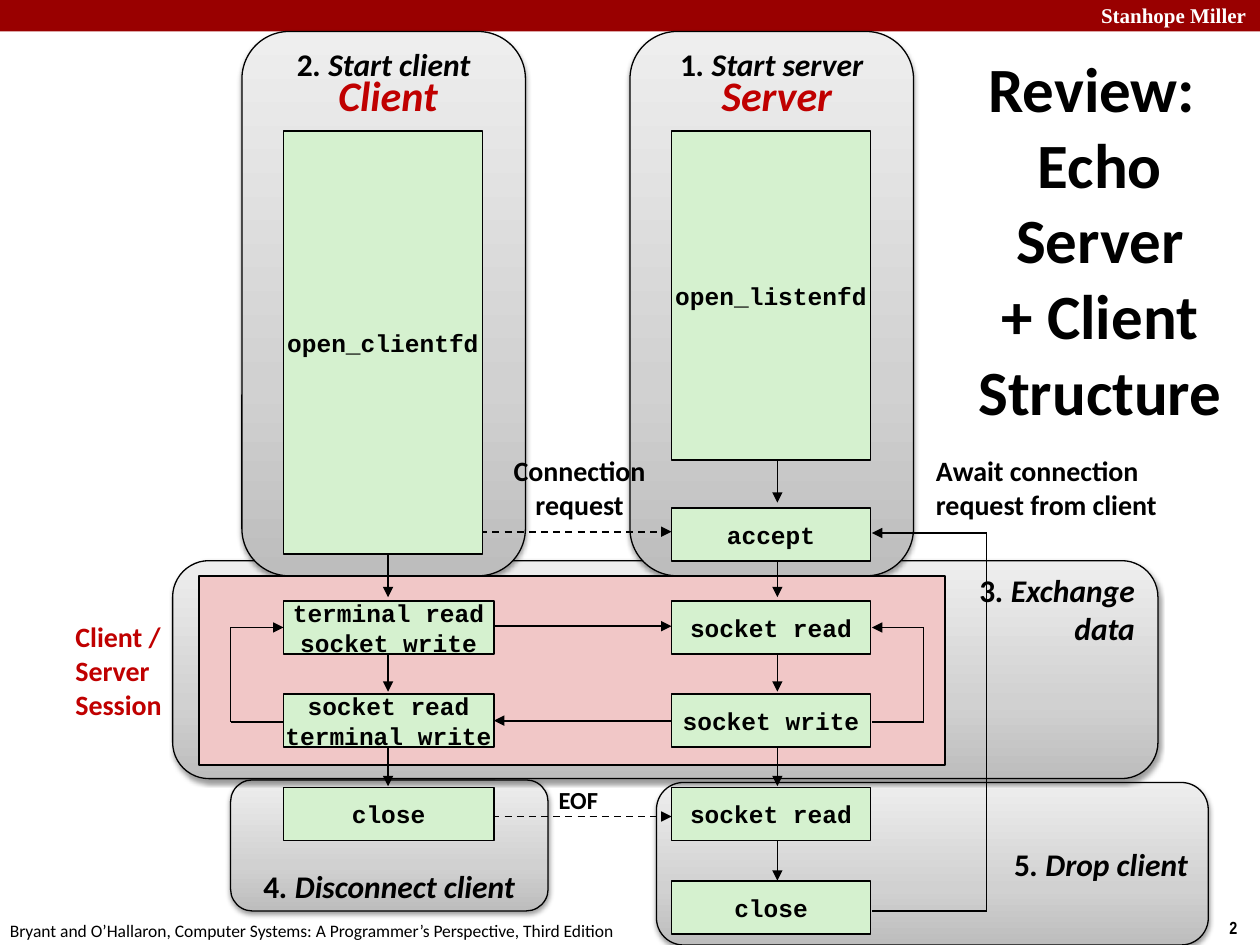
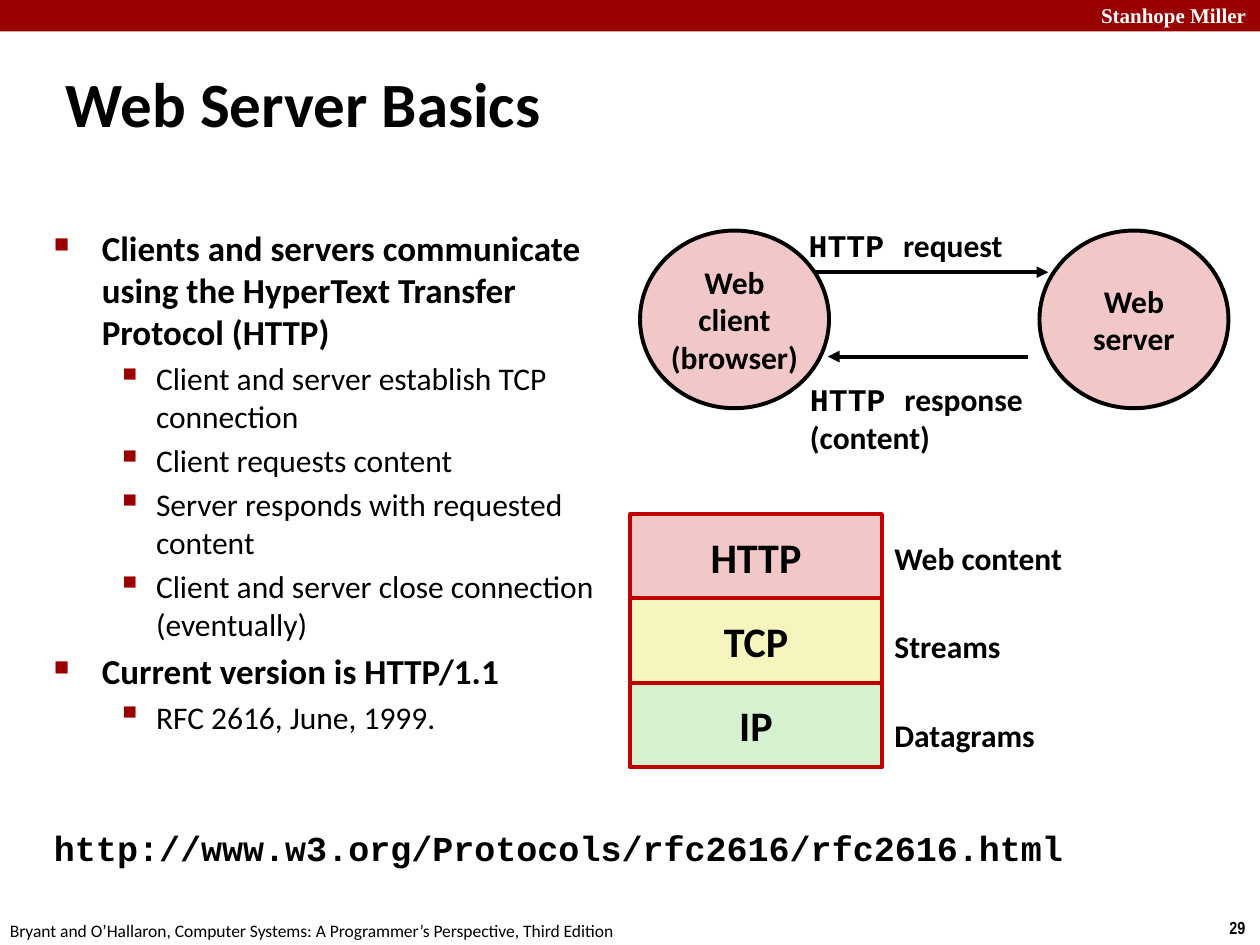
from pptx import Presentation
from pptx.dml.color import RGBColor
from pptx.enum.dml import MSO_LINE
from pptx.enum.shapes import MSO_CONNECTOR, MSO_SHAPE
from pptx.enum.text import MSO_ANCHOR, MSO_AUTO_SIZE, PP_ALIGN
from pptx.oxml import parse_xml
from pptx.oxml.ns import nsdecls, qn
from pptx.util import Cm, Pt

LEFT, CENTER, RIGHT = PP_ALIGN.LEFT, PP_ALIGN.CENTER, PP_ALIGN.RIGHT
TOP, MIDDLE, BOTTOM = MSO_ANCHOR.TOP, MSO_ANCHOR.MIDDLE, MSO_ANCHOR.BOTTOM
RECT, ROUNDED, OVAL = MSO_SHAPE.RECTANGLE, MSO_SHAPE.ROUNDED_RECTANGLE, MSO_SHAPE.OVAL
STRAIGHT, DASH = MSO_CONNECTOR.STRAIGHT, MSO_LINE.DASH

# Shared look
BLACK, WHITE, MAROON, RED = "000000", "FFFFFF", "990000", "C00000"
PINK, GREEN, YELLOW = "F1C7C7", "D5F1CF", "F6F5BD"
BODY_FONT, CODE_FONT = "Calibri", "Courier New"
PANEL_STOPS = ((0, "BDBDBD"), (35, "D1D1D1"), (100, "EEEEEE"))
INSETS = (0.1, 0.05, 0.1, 0.05)
FOOTER = ("Bryant and O’Hallaron, Computer Systems: "
          "A Programmer’s Perspective, Third Edition")
SCHOOL = "Stanhope Miller"

# Flow chart grid, in inches
CLIENT_X, SERVER_X = 2.25, 5.33
CLIENT_ARROW_X, SERVER_ARROW_X = 3.08, 6.17
BOX_WIDTH, WIDE_BOX, BOX_HEIGHT = 1.58, 1.67, 0.42
FIRST_ROW, ROW_STEP = 4.03, 0.74
FIRST_ARROW, ARROW_STEP, ARROW_LENGTH = 3.65, 0.75, 0.34


def inches(value):
    return Cm(value * 2.54)


def color(hex_value):
    return RGBColor.from_string(hex_value)


def style_run(run, size, font, hex_color, bold, italic):
    run.font.size = Pt(size)
    run.font.name = font
    run.font.color.rgb = color(hex_color)
    run.font.bold = bold
    run.font.italic = italic


def write(box, paras, size, font=BODY_FONT, hex_color=BLACK, bold=True,
          italic=False, align=LEFT, anchor=TOP, wrap=True, insets=INSETS):
    """Each paragraph is a string or a list of (text, style changes)."""
    frame = box.text_frame
    frame.auto_size = MSO_AUTO_SIZE.NONE
    frame.word_wrap = wrap
    frame.vertical_anchor = anchor
    (frame.margin_left, frame.margin_top,
     frame.margin_right, frame.margin_bottom) = map(inches, insets)
    base = dict(size=size, font=font, hex_color=hex_color, bold=bold, italic=italic)
    for index, spans in enumerate(paras):
        para = frame.add_paragraph() if index else frame.paragraphs[0]
        para.alignment = align
        if isinstance(spans, str):
            para.text = spans
            for run in para.runs:
                style_run(run, **base)
            continue
        for text, changes in spans:
            run = para.add_run()
            run.text = text
            style_run(run, **{**base, **changes})


def hang(para, left, first):
    properties = para._p.get_or_add_pPr()
    properties.set("marL", str(inches(left)))
    properties.set("indent", str(inches(first)))
    return properties


def add_text(page, place, paras, size, **style):
    box = page.shapes.add_textbox(*map(inches, place))
    write(box, paras, size, **style)
    return box


def add_block(page, kind, place, fill, line=None, width=1):
    shape = page.shapes.add_shape(kind, *map(inches, place))
    shape.shadow.inherit = False
    shape.fill.solid()
    shape.fill.fore_color.rgb = color(fill)
    if line:
        shape.line.color.rgb = color(line)
        shape.line.width = Pt(width)
    else:
        shape.line.fill.background()
    return shape


def add_panel(page, place, number, lines, align, anchor, insets):
    """Grey numbered stage with a gradient and a soft shadow."""
    panel = add_block(page, ROUNDED, place, WHITE, BLACK, 0.75)
    panel.fill.gradient()
    panel.fill.gradient_angle = 90
    stops = "".join(f'<a:gs pos="{pos * 1000}"><a:srgbClr val="{value}"/></a:gs>'
                    for pos, value in PANEL_STOPS)
    properties = panel._element.spPr
    gradient = properties.find(qn("a:gradFill"))
    gradient.replace(gradient.find(qn("a:gsLst")),
                     parse_xml(f'<a:gsLst {nsdecls("a")}>{stops}</a:gsLst>'))
    properties.find(qn("a:effectLst")).append(parse_xml(
        f'<a:outerShdw {nsdecls("a")} blurRad="{Pt(3.1)}" dist="{Pt(1.6)}" '
        f'dir="5400000" rotWithShape="0"><a:srgbClr val="{BLACK}">'
        '<a:alpha val="38000"/></a:srgbClr></a:outerShdw>'))
    slanted = {"italic": True}
    paras = [[(number, {}), (f". {lines[0]}", slanted)]]
    paras += [[(text, slanted)] for text in lines[1:]]
    write(panel, paras, 18, align=align, anchor=anchor, insets=insets)


def add_code_box(page, place, *lines):
    box = add_block(page, RECT, place, GREEN, BLACK)
    write(box, lines, 14, font=CODE_FONT, align=CENTER, anchor=MIDDLE, wrap=False)


def add_arrow(page, *points, width=1, dashed=False):
    """Straight segments through the points, with a head on the last one."""
    for start, end in zip(points, points[1:]):
        line = page.shapes.add_connector(STRAIGHT, *map(inches, start + end))
        line.line.color.rgb = color(BLACK)
        line.line.width = Pt(width)
        if dashed:
            line.line.dash_style = DASH
        properties = line._element.spPr
        if end == points[-1]:
            properties.find(qn("a:ln")).append(
                parse_xml(f'<a:tailEnd {nsdecls("a")} type="triangle"/>'))
        properties.append(parse_xml(f'<a:effectLst {nsdecls("a")}/>'))


def add_bullets(page, place, items):
    box = add_text(page, place, [text for _, text in items], 20)
    for (level, _), para in zip(items, box.text_frame.paragraphs):
        left, first, mark, scale, size = (
            (0.81, -0.31, "▪", 110, 18) if level else (0.38, -0.38, "■", 60, 20))
        para.level = level
        para.space_before = Pt(size * 0.2)
        properties = hang(para, left, first)
        for tag in (f'<a:buClr {nsdecls("a")}><a:srgbClr val="{MAROON}"/></a:buClr>',
                    f'<a:buSzPct {nsdecls("a")} val="{scale * 1000}"/>',
                    f'<a:buChar {nsdecls("a")} char="{mark}"/>'):
            properties.append(parse_xml(tag))
        for run in para.runs:
            run.font.size = Pt(size)
            run.font.bold = level == 0


def add_page(deck, number, title, place, align, anchor):
    """New page with the title, the top band and the footer."""
    page = deck.slides.add_slide(deck.slide_layouts[5])
    heading = page.shapes.title
    heading.left, heading.top, heading.width, heading.height = map(inches, place)
    write(heading, [title], 36, align=align, anchor=anchor)
    hang(heading.text_frame.paragraphs[0], 0.13, -0.13)
    add_block(page, RECT, (0, 0, 10, 0.25), MAROON)
    add_text(page, (8.64, -0.03, 1.43, 0.3), [SCHOOL], 12,
             font="Times New Roman", hex_color=WHITE)
    add_text(page, (9.66, 7.23, 0.34, 0.27), [str(number)], 10, font="Arial Narrow")
    add_text(page, (-0.02, 7.25, 5.08, 0.27), [FOOTER], 10, bold=False, wrap=False)
    return page


def build_echo_page(deck):
    page = add_page(deck, 2, "Review: Echo\vServer\v+ Client\vStructure",
                    (7.5, 1.24, 2.33, 1.31), CENTER, MIDDLE)

    # Numbered stages
    flat, lifted = (0.1, 0, 0.1, 0), (0.1, 0, 0.1, 0.05)
    for place, number, lines, align, anchor, insets in (
            ((5.21, 6.21, 4.38, 1.29), "5", ["Drop client"], RIGHT, MIDDLE, flat),
            ((1.83, 6.19, 2.52, 1.04), "4", ["Disconnect client"], CENTER, BOTTOM, flat),
            ((1.37, 4.45, 7.82, 1.73), "3", ["Exchange", "data"], RIGHT, TOP, lifted),
            ((1.92, 0.25, 2.25, 4.32), "2", ["Start client"], CENTER, TOP, lifted),
            ((5, 0.25, 2.25, 4.32), "1", ["Start server"], CENTER, TOP, lifted)):
        add_panel(page, place, number, lines, align, anchor, insets)

    # Session area and the loops
    add_block(page, RECT, (1.58, 4.57, 5.92, 1.5), PINK, BLACK)
    for edge, turn, start, end in ((6.92, 7.33, 5.73, 4.98),
                                   (2.25, 1.83, 5.73, 4.98),
                                   (6.92, 7.83, 7.23, 4.23)):
        add_arrow(page, (edge, start), (turn, start), (turn, end), (edge, end))

    # Steps down each column, then messages across
    for x, steps in ((CLIENT_ARROW_X, range(1, 4)), (SERVER_ARROW_X, range(5))):
        for step in steps:
            y = FIRST_ARROW + step * ARROW_STEP
            add_arrow(page, (x, y), (x, y + ARROW_LENGTH))
    for start, end, y, dashed in ((3.33, 5.33, 4.22, True), (3.92, 5.33, 4.97, False),
                                  (5.33, 3.92, 5.72, False), (3.33, 5.33, 6.48, True)):
        add_arrow(page, (start, y), (end, y), dashed=dashed)

    # Function boxes
    add_code_box(page, (CLIENT_X, 1.04, BOX_WIDTH, 3.36), "open_clientfd")
    add_code_box(page, (SERVER_X, 1.04, BOX_WIDTH, 2.61), "open_listenfd")
    client_calls = (("terminal read", "socket write"),
                    ("socket read", "terminal write"), ("close",))
    server_calls = (("accept",), ("socket read",), ("socket write",),
                    ("socket read",), ("close",))
    for x, width, first, calls in ((CLIENT_X, WIDE_BOX, 1, client_calls),
                                   (SERVER_X, BOX_WIDTH, 0, server_calls)):
        for row, lines in enumerate(calls, first):
            add_code_box(page, (x, FIRST_ROW + row * ROW_STEP, width, BOX_HEIGHT), *lines)

    # Labels
    for place, name in (((2.58, 0.5, 1, 0.5), "Client"), ((5.62, 0.5, 1.09, 0.5), "Server")):
        add_text(page, place, [name], 24, hex_color=RED, italic=True,
                 align=CENTER, anchor=MIDDLE, wrap=False)
    add_text(page, (0.5, 4.87, 0.92, 0.9), ["Client / Server", "Session"], 16,
             hex_color=RED, anchor=MIDDLE)
    add_text(page, (3.97, 3.55, 1.26, 0.64), ["Connection", "request"], 16,
             align=CENTER, anchor=MIDDLE, wrap=False)
    add_text(page, (7.33, 3.55, 2, 0.64), ["Await connection", "request from client"],
             16, anchor=MIDDLE, wrap=False)
    add_text(page, (4.33, 6.18, 0.52, 0.34), ["EOF"], 14,
             align=CENTER, anchor=MIDDLE, wrap=False)


def build_web_page(deck):
    page = add_page(deck, 29, "Web Server Basics", (0.42, 0.46, 4.2, 0.63), LEFT, TOP)
    add_bullets(page, (0.33, 1.75, 4.58, 5.13), (
        (0, "Clients and servers communicate using the HyperText Transfer Protocol (HTTP)"),
        (1, "Client and server establish TCP connection"),
        (1, "Client requests content"),
        (1, "Server responds with requested content"),
        (1, "Client and server close connection (eventually)"),
        (0, "Current version is HTTP/1.1"),
        (1, "RFC 2616, June, 1999.")))

    # Request and response
    add_arrow(page, (6.41, 2.16), (8.32, 2.16), width=2.25)
    add_arrow(page, (8.16, 2.83), (6.57, 2.83), width=2.25)
    for x, lines in ((5.08, ["Web", "client", "(browser)"]), (8.25, ["Web", "server"])):
        circle = add_block(page, OVAL, (x, 1.83, 1.5, 1.41), PINK, BLACK, 2.25)
        write(circle, lines, 18, align=CENTER, anchor=MIDDLE, wrap=False)
    protocol = ("HTTP ", {"font": CODE_FONT})
    add_text(page, (6.32, 1.74, 1.76, 0.4), [[protocol, ("request", {})]], 18,
             anchor=MIDDLE, wrap=False)
    add_text(page, (6.33, 2.96, 1.91, 0.71),
             [[protocol, ("response", {})], "(content)"], 18, anchor=MIDDLE, wrap=False)

    # Protocol stack
    layers = (("HTTP", PINK, "Web content", 1.54), ("TCP", YELLOW, "Streams", 1.05),
              ("IP", GREEN, "Datagrams", 1.33))
    for row, (name, fill, label, width) in enumerate(layers):
        layer = add_block(page, RECT, (5, 4.08 + row * 0.67, 2, 0.67), fill, RED, 2.25)
        write(layer, [name], 24, align=CENTER, anchor=MIDDLE)
        add_text(page, (7, 4.23 + row * 0.7, width, 0.4), [label], 18, wrap=False)

    add_text(page, (0.33, 6.51, 8.28, 0.44),
             ["http://www.w3.org/Protocols/rfc2616/rfc2616.html"], 20,
             font=CODE_FONT, wrap=False)


def main():
    deck = Presentation()
    deck.slide_width, deck.slide_height = Cm(25.4), Cm(19.05)
    build_echo_page(deck)
    build_web_page(deck)
    deck.save("out.pptx")


main()
